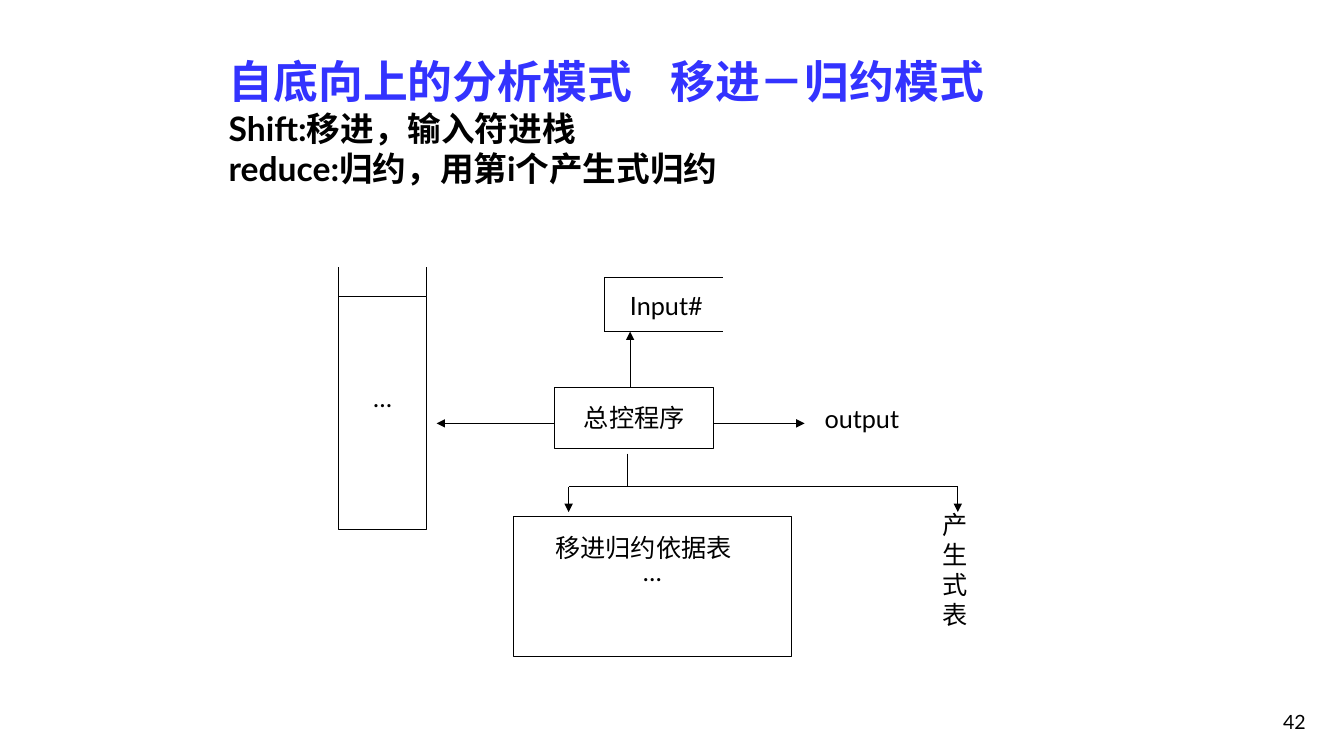
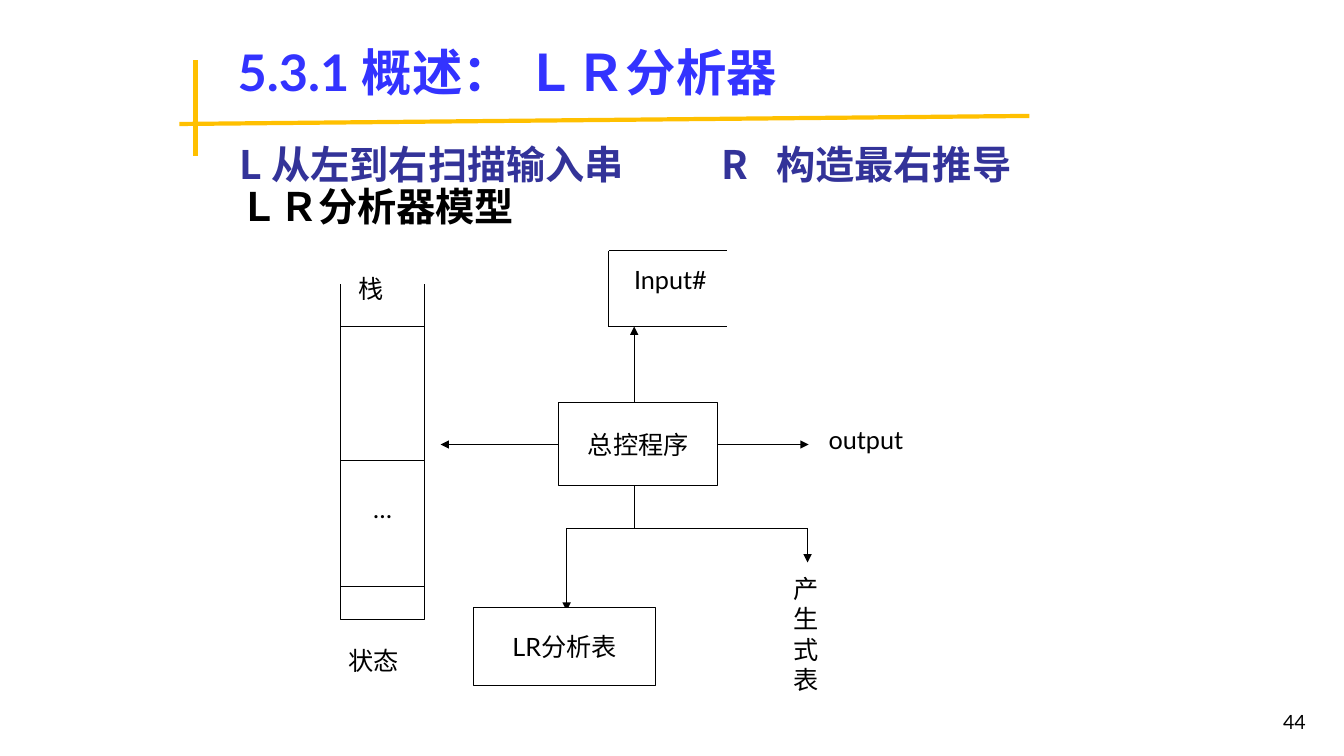
from lxml import etree
from pptx import Presentation
from pptx.dml.color import RGBColor
from pptx.enum import shapes, text
from pptx.oxml.ns import qn
from pptx.util import Inches, Pt

BLACK = RGBColor(0x00, 0x00, 0x00)
WHITE = RGBColor(0xFF, 0xFF, 0xFF)
BLUE = RGBColor(0x33, 0x33, 0xFF)
INDIGO = RGBColor(0x33, 0x33, 0x99)
GOLD = RGBColor(0xFF, 0xC0, 0x00)
LATO = "Lato"
HEADING_FONT = "Noto Sans CJK JP"
LEFT, CENTER, RIGHT = text.PP_ALIGN.LEFT, text.PP_ALIGN.CENTER, text.PP_ALIGN.RIGHT
TOP, MIDDLE, BOTTOM = text.MSO_ANCHOR.TOP, text.MSO_ANCHOR.MIDDLE, text.MSO_ANCHOR.BOTTOM


def style(p, size=18, color=BLACK, bold=False, font=LATO, align=LEFT, tabs=()):
    """Format a paragraph, with tab stops given in inches."""
    p.alignment = align
    if tabs:
        tab_list = etree.SubElement(p._p.get_or_add_pPr(), qn("a:tabLst"))
        for pos in tabs:
            etree.SubElement(tab_list, qn("a:tab"), pos=str(Inches(pos)), algn="l")
    p.font.size, p.font.bold, p.font.name = Pt(size), bold, font
    p.font.color.rgb = color
    props = p._p.pPr.find(qn("a:defRPr"))
    etree.SubElement(props, qn("a:ea"), typeface=font)


def label(s, x, y, w, h, lines, anchor=TOP, **fmt):
    """Add a wrapped text box with one paragraph per (text, overrides) line."""
    tf = s.shapes.add_textbox(Inches(x), Inches(y), Inches(w), Inches(h)).text_frame
    tf.word_wrap, tf.vertical_anchor = True, anchor
    for i, (words, extra) in enumerate(lines):
        p = tf.add_paragraph() if i else tf.paragraphs[0]
        p.text = words
        style(p, **{**fmt, **extra})
    return tf


def note(s, x, y, w, words, h=0.4):
    """Add a plain diagram caption."""
    label(s, x, y, w, h, [(words, {})])


def box(s, x, y, w, h, words="", lift=0):
    """Add an outlined box whose centred text is raised by half of lift."""
    sp = s.shapes.add_shape(shapes.MSO_SHAPE.RECTANGLE, Inches(x), Inches(y), Inches(w), Inches(h))
    sp.shadow.inherit = False
    sp.fill.solid()
    sp.fill.fore_color.rgb = WHITE
    sp.line.color.rgb, sp.line.width = BLACK, Pt(0.75)
    if words:
        tf = sp.text_frame
        tf.word_wrap, tf.vertical_anchor = False, MIDDLE
        tf.margin_bottom = Inches(0.05 + lift)
        tf.paragraphs[0].text = words
        style(tf.paragraphs[0], align=CENTER)


def line(s, x1, y1, x2, y2, arrow=False, color=BLACK, width=0.75):
    """Add a straight line, optionally with an arrowhead at its end."""
    c = s.shapes.add_connector(shapes.MSO_CONNECTOR.STRAIGHT,
                               Inches(x1), Inches(y1), Inches(x2), Inches(y2))
    c.line.color.rgb, c.line.width = color, Pt(width)
    if arrow:
        etree.SubElement(c.line._get_or_add_ln(), qn("a:tailEnd"), type="triangle")
    etree.SubElement(c._element.spPr, qn("a:effectLst"))


def stack(s, x, y, w, rim, cells):
    """Draw an open-topped stack of (height, text) cells below a rim."""
    for wall in (x, x + w):
        line(s, wall, y, wall, y + rim)
    y += rim
    for height, words in cells:
        box(s, x, y, w, height, words, lift=0.3)
        y += height


def controller(s, x, y, h, arrow_y, tape_y, tape_h):
    """Draw the control program with its input tape, stack arrow and output."""
    w, tape_x, tape_w = 1.58, x + 0.5, 1.17
    tape_end = tape_y + tape_h
    box(s, x, y, w, h, "总控程序")
    for edge in (tape_y, tape_end):
        line(s, tape_x, edge, tape_x + tape_w, edge)
    line(s, tape_x, tape_y, tape_x, tape_end)
    note(s, x + 0.65, tape_y + 0.08, 1.8, "Input#")
    line(s, x + 0.75, y, x + 0.75, tape_end, arrow=True)
    line(s, x, arrow_y, x - 1.17, arrow_y, arrow=True)
    line(s, x + w, arrow_y, x + w + 0.9, arrow_y, arrow=True)
    note(s, x + 2.58, arrow_y - 0.25, 1.17, "output")


def branch(s, stem_x, stem_y, bar_y, tips):
    """Draw a stem and a bar that ends in an arrow down to each tip."""
    line(s, stem_x, stem_y, stem_x, bar_y)
    line(s, tips[0][0], bar_y, tips[-1][0], bar_y)
    for x, y in tips:
        line(s, x, bar_y, x, y, arrow=True)


def new_slide(prs, number):
    """Add a blank slide carrying its page number."""
    s = prs.slides.add_slide(prs.slide_layouts[6])
    label(s, 10.27, 6.83, 2.78, 0.5, [(number, {})], anchor=BOTTOM, size=14, align=RIGHT)
    return s


def shift_reduce_slide(prs):
    """Build the slide on the shift-reduce mode."""
    s = new_slide(prs, "42")
    label(s, 2.17, 0.36, 9.5, 1.68, [
        ("自底向上的分析模式\t移进－归约模式", {"size": 32, "color": BLUE, "tabs": (4.38,)}),
        ("Shift:移进，输入符进栈", {}),
        ("reduce:归约，用第i个产生式归约", {}),
    ], anchor=MIDDLE, size=24, bold=True)
    stack(s, 3.36, 2.65, 0.87, 0.29, [(2.31, "…")])
    controller(s, 5.5, 3.84, 0.61, 4.2, 2.75, 0.54)
    branch(s, 6.22, 4.5, 4.83, [(5.64, 5.08), (9.5, 5.08)])
    box(s, 5.09, 5.12, 2.76, 1.39, "…", lift=0.3)
    note(s, 5.41, 5.23, 2.12, "移进归约依据表")
    note(s, 9.25, 5, 0.67, "产生式表", h=1.31)


def lr_parser_slide(prs):
    """Build the slide on the LR parser model."""
    s = new_slide(prs, "44")
    line(s, 1.78, 1.23, 10.21, 1.15, color=GOLD, width=3)
    line(s, 1.94, 0.6, 1.94, 1.55, color=GOLD, width=3)
    label(s, 2.26, 0.36, 7.64, 0.71, [("5.3.1 概述： ＬＲ分析器", {})],
          size=36, color=BLUE, bold=True)
    tf = label(s, 2.17, 1.31, 8.59, 1.02, [
        ("L 从左到右扫描输入串\tR\t构造最右推导", {"color": INDIGO, "tabs": (4.78, 5.32)}),
        ("ＬＲ分析器模型", {}),
    ], anchor=BOTTOM, size=28, bold=True, font=HEADING_FONT)
    tf.margin_left = Inches(0.21)
    for p in tf.paragraphs:
        p.line_spacing = 0.9
    stack(s, 3.38, 2.82, 0.83, 0.42, [(1.33, ""), (1.25, "…"), (0.33, "")])
    note(s, 3.46, 2.66, 0.75, "栈")
    note(s, 3.36, 6.35, 0.83, "状态")
    controller(s, 5.54, 3.99, 0.83, 4.41, 2.49, 0.75)
    branch(s, 6.29, 4.82, 5.24, [(5.62, 6.06), (8.01, 5.58)])
    box(s, 4.7, 6.03, 1.8, 0.77, "LR分析表")
    note(s, 7.77, 5.64, 0.57, "产生式表", h=1.31)


def main():
    """Build and save the presentation."""
    prs = Presentation()
    prs.slide_width, prs.slide_height = Inches(13.33), Inches(7.5)
    shift_reduce_slide(prs)
    lr_parser_slide(prs)
    prs.save("out.pptx")


if __name__ == "__main__":
    main()
